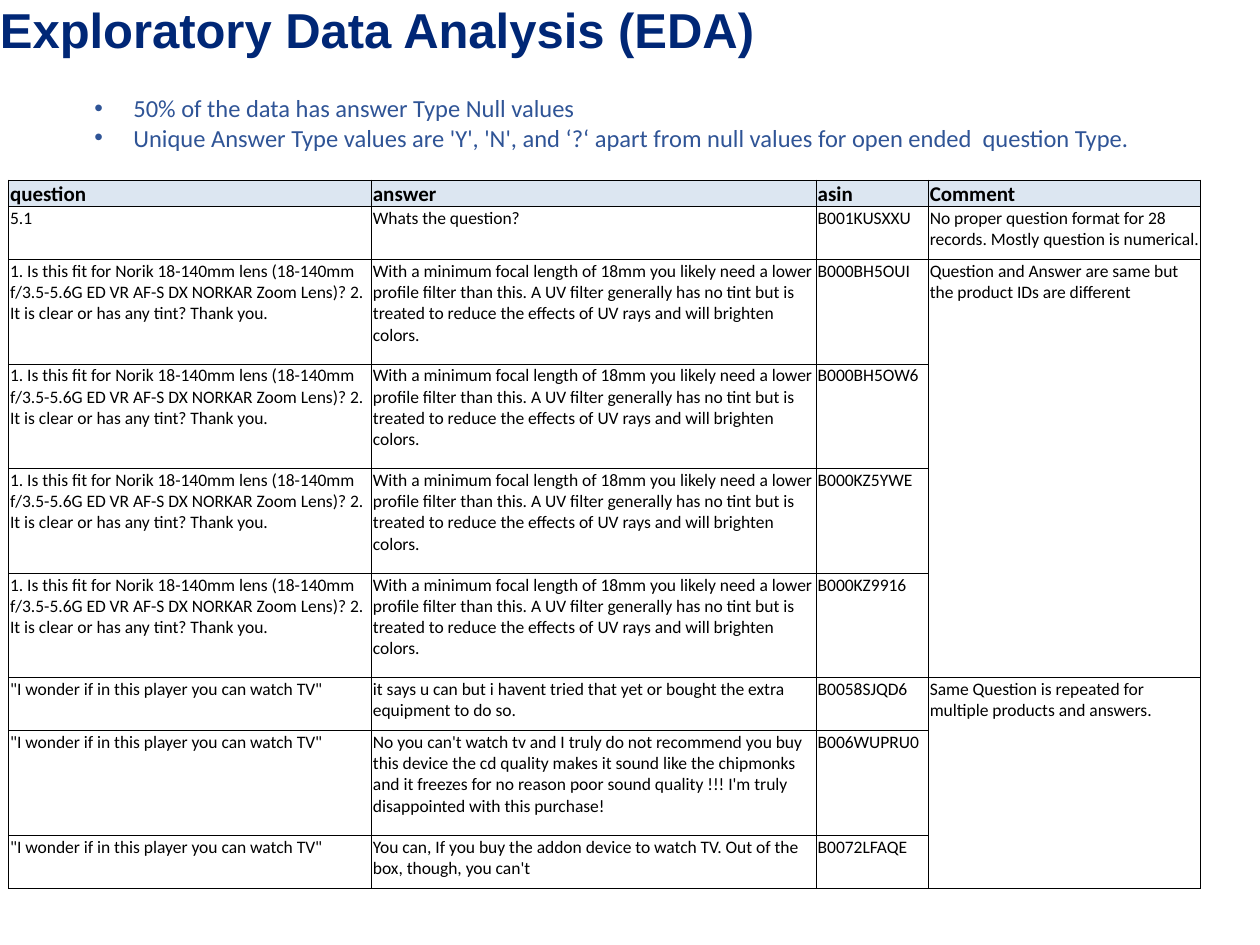
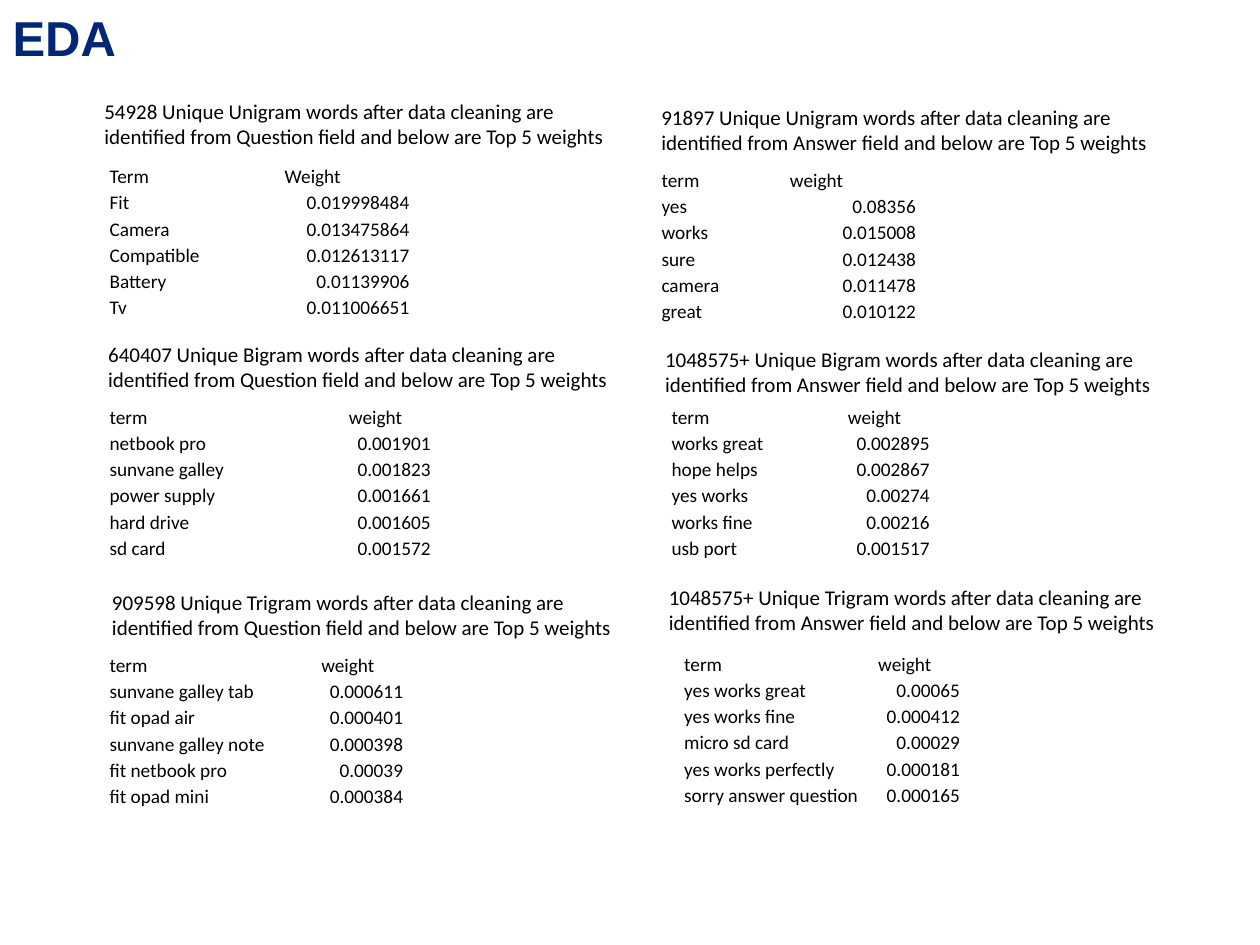
from lxml.etree import SubElement
from pptx import Presentation
from pptx.dml.color import RGBColor
from pptx.enum.text import MSO_ANCHOR as Anchor, PP_ALIGN as Align
from pptx.oxml.ns import qn
from pptx.util import Inches, Pt

COLORS = {"title": "002776", "bullet": "2F5496", "text": "000000",
          "header": "DCE6F1", "border": "000000"}
PLAIN_TABLE = "{2D5ABB26-0587-4C30-8999-92F81FD0307C}"

LENS_QUESTION = ("1. Is this fit for Norik 18-140mm lens (18-140mm f/3.5-5.6G ED VR AF-S DX "
                 "NORKAR Zoom Lens)? 2. It is clear or has any tint? Thank you.")
LENS_ANSWER = ("With a minimum focal length of 18mm you likely need a lower profile filter than "
               "this. A UV filter generally has no tint but is treated to reduce the effects of "
               "UV rays and will brighten colors.")
TV_QUESTION = '"I wonder if in this player you can watch TV"'

FINDINGS = [
    "50% of the data has answer Type Null values",
    "Unique Answer Type values are 'Y', 'N', and ‘?‘ apart from null values for open ended  "
    "question Type.",
]
RECORDS = [
    ("question", "answer", "asin", "Comment"),
    ("5.1", "Whats the question?", "B001KUSXXU",
     "No proper question format for 28 records. Mostly question is numerical."),
    (LENS_QUESTION, LENS_ANSWER, "B000BH5OUI",
     "Question and Answer are same but the product IDs are different"),
    *[(LENS_QUESTION, LENS_ANSWER, asin, "")
      for asin in ("B000BH5OW6", "B000KZ5YWE", "B000KZ9916")],
    (TV_QUESTION,
     "it says u can but i havent tried that yet or bought the extra equipment to do so.",
     "B0058SJQD6", "Same Question is repeated for multiple products and answers."),
    (TV_QUESTION,
     "No you can't watch tv and I truly do not recommend you buy this device the cd quality "
     "makes it sound like the chipmonks and it freezes for no reason poor sound quality !!! "
     "I'm truly disappointed with this purchase!", "B006WUPRU0", ""),
    (TV_QUESTION,
     "You can, If you buy the addon device to watch TV. Out of the box, though, you can't",
     "B0072LFAQE", ""),
]
RECORD_COLUMNS = [2.88, 3.53, 0.89, 2.16]
RECORD_ROWS = [0.19, 0.42, 0.83, 0.83, 0.83, 0.83, 0.42, 0.83, 0.42]
COMMENT_SPANS = [(2, 5), (6, 8)]

NGRAMS = [
    ("54928", "Unigram", "Question", (0.73, 0.73), (0.86, 1.29), (1.39, 1.01),
     [("Term", "Weight"), ("Fit", "0.019998484"), ("Camera", "0.013475864"),
      ("Compatible", "0.012613117"), ("Battery", "0.01139906"), ("Tv", "0.011006651")]),
    ("91897", "Unigram", "Answer", (5.15, 0.78), (5.24, 1.32), (1.02, 1.02),
     [("term", "weight"), ("yes", "0.08356"), ("works", "0.015008"),
      ("sure", "0.012438"), ("camera", "0.011478"), ("great", "0.010122")]),
    ("640407", "Bigram", "Question", (0.76, 2.66), (0.86, 3.2), (1.9, 0.67),
     [("term", "weight"), ("netbook pro", "0.001901"), ("sunvane galley", "0.001823"),
      ("power supply", "0.001661"), ("hard drive", "0.001605"), ("sd card", "0.001572")]),
    ("1048575+", "Bigram", "Answer", (5.18, 2.7), (5.32, 3.2), (1.4, 0.67),
     [("term", "weight"), ("works great", "0.002895"), ("hope helps", "0.002867"),
      ("yes works", "0.00274"), ("works fine", "0.00216"), ("usb port", "0.001517")]),
    ("909598", "Trigram", "Question", (0.79, 4.63), (0.86, 5.17), (1.68, 0.67),
     [("term", "weight"), ("sunvane galley tab", "0.000611"), ("fit opad air", "0.000401"),
      ("sunvane galley note", "0.000398"), ("fit netbook pro", "0.00039"),
      ("fit opad mini", "0.000384")]),
    ("1048575+", "Trigram", "Answer", (5.21, 4.59), (5.42, 5.16), (1.54, 0.67),
     [("term", "weight"), ("yes works great", "0.00065"), ("yes works fine", "0.000412"),
      ("micro sd card", "0.00029"), ("yes works perfectly", "0.000181"),
      ("sorry answer question", "0.000165")]),
]


class Deck:
    """Holds the shared style and the slide being filled."""

    def __init__(self):
        self.prs = Presentation()
        self.prs.slide_width, self.prs.slide_height = Inches(10), Inches(7.5)

    def new_slide(self):
        self.slide = self.prs.slides.add_slide(self.prs.slide_layouts[6])

    def style(self, paragraph, size, color="text", font="Calibri", bold=False):
        for run in paragraph.runs:
            run.font.size, run.font.name, run.font.bold = Pt(size), font, bold
            run.font.color.rgb = RGBColor.from_string(COLORS[color])

    def text(self, content, left, top, width, height, size, **look):
        frame = self.slide.shapes.add_textbox(
            Inches(left), Inches(top), Inches(width), Inches(height)).text_frame
        frame.word_wrap = True
        frame.text = content
        for paragraph in frame.paragraphs:
            self.style(paragraph, size, **look)
        return frame

    def title(self, content, left, top, height):
        frame = self.text(content, left, top, 9.3, height, 28,
                          color="title", font="Arial", bold=True)
        frame.margin_left = frame.margin_right = frame.margin_top = frame.margin_bottom = 0

    def bullets(self, items, left, top, width, height):
        frame = self.text("\n".join(items), left, top, width, height, 14, color="bullet")
        for paragraph in frame.paragraphs:
            paragraph.level = 1
            props = paragraph._p.get_or_add_pPr()
            props.set("marL", str(Inches(0.81)))
            props.set("indent", str(Inches(-0.31)))
            tint = SubElement(props, qn("a:buClr"))
            SubElement(tint, qn("a:srgbClr"), val=COLORS["bullet"])
            SubElement(props, qn("a:buFont"), typeface="Arial")
            SubElement(props, qn("a:buChar"), char="•")

    def table(self, rows, left, top, widths, height):
        table = self.slide.shapes.add_table(
            len(rows), len(widths), Inches(left), Inches(top),
            Inches(sum(widths)), Inches(height)).table
        table.first_row = table.horz_banding = False
        table._tbl.tblPr.find(qn("a:tableStyleId")).text = PLAIN_TABLE
        for column, width in zip(table.columns, widths):
            column.width = Inches(width)
        for r, row in enumerate(rows):
            for c, content in enumerate(row):
                cell = table.cell(r, c)
                cell.margin_left = cell.margin_right = cell.margin_top = Inches(0.01)
                cell.margin_bottom = 0
                cell.text = content
                cell.fill.background()
        return table

    def border(self, cell):
        props = cell._tc.get_or_add_tcPr()
        for index, side in enumerate(("a:lnL", "a:lnR", "a:lnT", "a:lnB")):
            line = SubElement(props, qn(side), w=str(Pt(0.75)))
            fill = SubElement(line, qn("a:solidFill"))
            SubElement(fill, qn("a:srgbClr"), val=COLORS["border"])
            props.insert(index, line)

    def record_table(self, rows, left, top):
        table = self.table(rows, left, top, RECORD_COLUMNS, sum(RECORD_ROWS))
        for r, height in enumerate(RECORD_ROWS):
            table.rows[r].height = Inches(height)
            for cell in table.rows[r].cells:
                self.border(cell)
                self.style(cell.text_frame.paragraphs[0], 10 if r else 12, bold=r == 0)
                if r == 0:
                    cell.vertical_anchor = Anchor.BOTTOM
                    cell.fill.solid()
                    cell.fill.fore_color.rgb = RGBColor.from_string(COLORS["header"])
        for first, last in COMMENT_SPANS:
            table.cell(first, 3).merge(table.cell(last, 3))

    def weight_table(self, rows, left, top, widths):
        table = self.table(rows, left, top, widths, 1.25)
        for r in range(len(rows)):
            for c, cell in enumerate(table.rows[r].cells):
                cell.vertical_anchor = Anchor.BOTTOM
                paragraph = cell.text_frame.paragraphs[0]
                self.style(paragraph, 11)
                if r and c:
                    paragraph.alignment = Align.RIGHT


def main():
    deck = Deck()

    deck.new_slide()
    deck.title("Exploratory Data Analysis (EDA)", 0, 0, 0.94)
    deck.bullets(FINDINGS, 0.15, 0.69, 9.85, 5.69)
    deck.record_table(RECORDS, 0.07, 1.43)

    deck.new_slide()
    deck.title("EDA", 0.1, 0.06, 0.67)
    for count, gram, field, caption_at, table_at, widths, rows in NGRAMS:
        deck.text(f"{count} Unique {gram} words after data cleaning are identified from "
                  f"{field} field and below are Top 5 weights", *caption_at, 4.25, 0.5, 12)
        deck.weight_table(rows, *table_at, widths)

    deck.prs.save("out.pptx")


if __name__ == "__main__":
    main()
